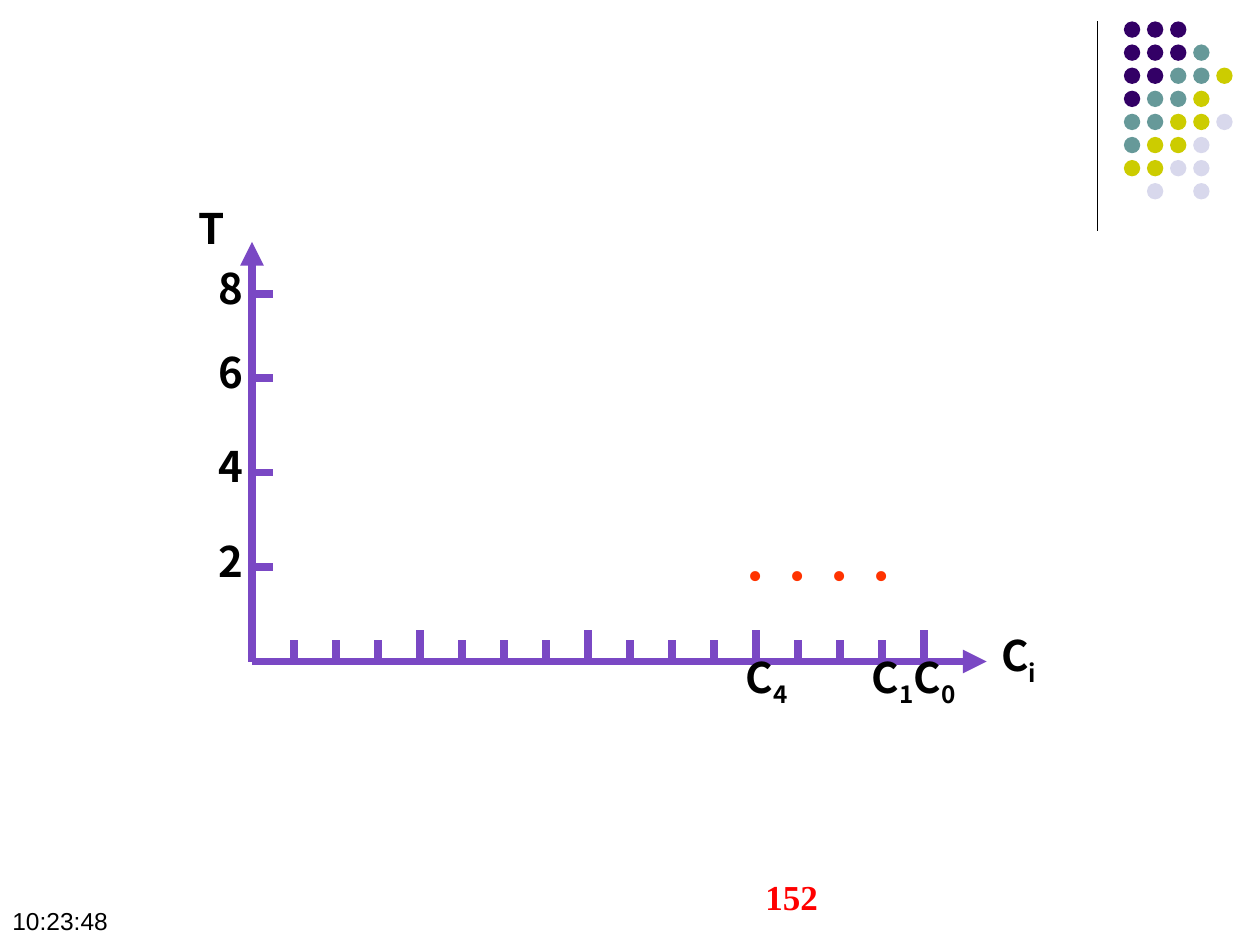
from dataclasses import dataclass

from lxml import etree
from pptx import Presentation
from pptx.dml.color import RGBColor
from pptx.enum import shapes, text
from pptx.oxml import ns
from pptx.util import Inches, Pt


@dataclass(frozen=True)
class Theme:
    ink: str = "000000"
    axis: str = "7A48C4"
    point: str = "FF3300"
    number: str = "FF0000"
    dots: tuple = ("330066", "669999", "CCCC00", "D8D8EC")
    label_font: str = "Noto Sans CJK SC"
    serif: str = "Times New Roman"
    sans: str = "Arial"
    label_size: int = 24
    number_size: int = 20
    time_size: int = 14
    axis_width: float = 4.5
    rule_width: float = 0.75


theme = Theme()
prs = Presentation()
prs.slide_width, prs.slide_height = Inches(10), Inches(7.5)
s = prs.slides.add_slide(prs.slide_layouts[6])


def add_text(content, x, y, w, h, sub="", size=theme.label_size,
             font=theme.label_font, color=theme.ink, bold=True,
             align=text.PP_ALIGN.CENTER, anchor=text.MSO_ANCHOR.TOP, top=0.05):
    sp = s.shapes.add_textbox(Inches(x), Inches(y), Inches(w), Inches(h))
    tf = sp.text_frame
    tf.word_wrap = True
    tf.vertical_anchor = anchor
    tf.margin_top = Inches(top)
    p = tf.paragraphs[0]
    p.alignment = align
    for part in filter(None, (content, sub)):
        r = p.add_run()
        r.text = part
        r.font.size, r.font.name, r.font.bold = Pt(size), font, bold
        r.font.color.rgb = RGBColor.from_string(color)
    if sub:
        r.font._element.set("baseline", "-25000")


def add_line(x1, y1, x2, y2, color=theme.axis, width=theme.axis_width, arrow=False):
    ln = s.shapes.add_connector(shapes.MSO_CONNECTOR.STRAIGHT,
                                Inches(x1), Inches(y1), Inches(x2), Inches(y2))
    ln.line.color.rgb = RGBColor.from_string(color)
    ln.line.width = Pt(width)
    if arrow:
        etree.SubElement(ln.line._get_or_add_ln(), ns.qn("a:tailEnd"), type="triangle")
    etree.SubElement(ln._element.spPr, ns.qn("a:effectLst"))


add_line(8.71, 0.17, 8.71, 1.83, color=theme.ink, width=theme.rule_width)

dot_rows = ("000", "0001", "00112", "0112", "11223", "1223", "2233", " 3 3")
dot_step = 0.55 / 3
for row, pattern in enumerate(dot_rows):
    for col, shade in enumerate(pattern):
        if shade == " ":
            continue
        sp = s.shapes.add_shape(shapes.MSO_SHAPE.OVAL,
                                Inches(8.92 + col * dot_step),
                                Inches(0.17 + row * dot_step),
                                Inches(0.13), Inches(0.13))
        sp.shadow.inherit = False
        sp.fill.solid()
        sp.fill.fore_color.rgb = RGBColor.from_string(theme.dots[int(shade)])
        sp.line.fill.background()

origin_x, origin_y, tick_step = 2, 5.25, 1 / 3

for tick in range(12, 16):
    add_text("•", origin_x + tick * tick_step - 0.42, 4.25, 0.83, 0.5,
             font=theme.serif, color=theme.point, bold=False, top=0.1)

add_line(origin_x, origin_y, 7.83, origin_y, arrow=True)
add_line(origin_x, origin_y, origin_x, 1.92, arrow=True)

for tick in range(1, 17):
    x = origin_x + tick * tick_step
    add_line(x, 5 if tick % 4 == 0 else 5.08, x, origin_y)

for index in (4, 1, 0):
    x = origin_x + (16 - index) * tick_step
    add_text("C", x - 0.5, 5.17, 1.17, 0.5, sub=str(index), top=0)

for label, y in (("2", 4.5), ("4", 3.75), ("6", 3), ("8", 2.33)):
    add_line(origin_x, y, origin_x + 0.17, y)
    add_text(label, 1.58, y - 0.25, 0.5, 0.5, top=0)

add_text("C", 7.5, 5, 1.17, 0.5, sub="i", top=0)
add_text("T", 1.39, 1.61, 0.58, 0.5, top=0)

add_text("152", 3.42, 6.83, 3.17, 0.5, size=theme.number_size, font=theme.serif,
         color=theme.number, align=text.PP_ALIGN.RIGHT, anchor=text.MSO_ANCHOR.BOTTOM)
add_text("10:23:48", 0, 7.14, 2.24, 0.34, size=theme.time_size, font=theme.sans,
         bold=False, align=text.PP_ALIGN.LEFT)

prs.save("out.pptx")
